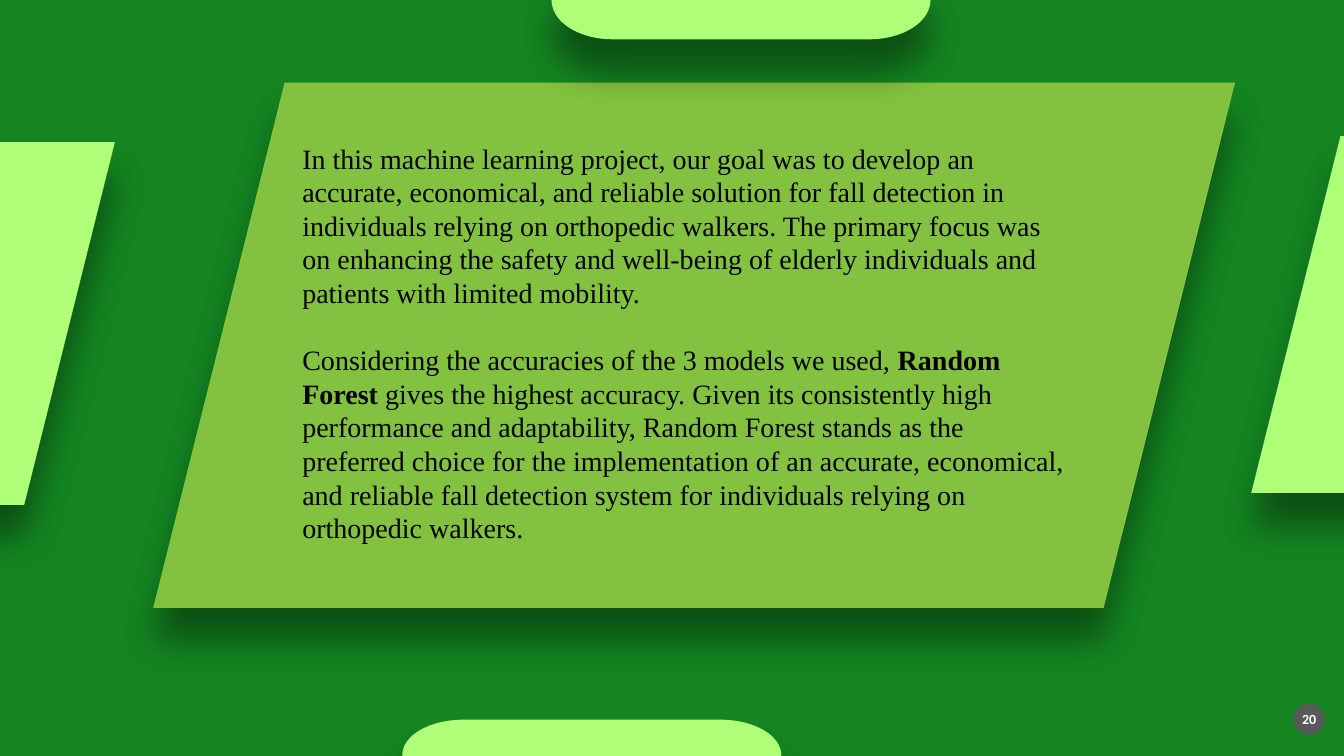
from lxml.etree import SubElement
from pptx import Presentation
from pptx.dml.color import RGBColor as RGB
from pptx.enum.shapes import MSO_SHAPE as SHAPE
from pptx.enum.text import MSO_ANCHOR as ANCHOR, PP_ALIGN as ALIGN
from pptx.oxml.ns import qn
from pptx.util import Inches, Pt

COLORS = {"back": "148521", "panel": "83C240", "accent": "B0FF78",
          "badge": "595959", "text": "000000", "number": "FFFFFF"}
BODY = {"name": "Times New Roman", "size": Pt(20)}
NUMBER = {"name": "Calibri", "size": Pt(10), "bold": True}

GOAL = [("In this machine learning project, our goal was to develop an accurate, "
         "economical, and reliable solution for fall detection in individuals relying "
         "on orthopedic walkers. The primary focus was on enhancing the safety and "
         "well-being of elderly individuals and patients with limited mobility.", False)]
RESULT = [("Considering the accuracies of the 3 models we used, ", False),
          ("Random Forest ", True),
          ("gives the highest accuracy. Given its consistently high performance and "
           "adaptability, Random Forest stands as the preferred choice for the "
           "implementation of an accurate, economical, and reliable fall detection "
           "system for individuals relying on orthopedic walkers.", False)]

# Shapes that run over the slide edges: kind, box, rotation
EDGE_SHAPES = [
    (SHAPE.PARALLELOGRAM, (12.41, 1.35, 4.09, 3.54), 180),
    (SHAPE.PARALLELOGRAM, (-2.62, 1.41, 3.76, 3.6), 0),
    (SHAPE.FLOWCHART_TERMINATOR, (3.99, 7.14, 3.76, 0.7), 0),
    (SHAPE.FLOWCHART_TERMINATOR, (5.47, -0.39, 3.76, 0.78), 0),
]


class Deck:
    """Holds the colours and the current slide."""

    def __init__(self, prs, colors):
        self.colors = colors
        self.slide = prs.slides.add_slide(prs.slide_layouts[6])
        fill = self.slide.background.fill
        fill.solid()
        fill.fore_color.rgb = self.rgb("back")

    def rgb(self, key):
        return RGB.from_string(self.colors[key])

    def shape(self, kind, box, color, rotation=0):
        sp = self.slide.shapes.add_shape(kind, *map(Inches, box))
        sp.shadow.inherit = False
        sp.fill.solid()
        sp.fill.fore_color.rgb = self.rgb(color)
        sp.line.fill.background()
        sp.rotation = rotation
        return sp

    def raised(self, *args):
        """A shape with a soft shadow straight below it."""
        sp = self.shape(*args)
        effects = sp._element.spPr.find(qn("a:effectLst"))
        shadow = SubElement(effects, qn("a:outerShdw"), blurRad=str(Pt(26)),
                            dist=str(Pt(24)), dir="5400000", rotWithShape="0")
        color = SubElement(shadow, qn("a:srgbClr"), val="000000")
        SubElement(color, qn("a:alpha"), val="39000")
        return sp

    def run(self, p, text, style, color):
        r = p.add_run()
        r.text = text
        for name, value in style.items():
            setattr(r.font, name, value)
        r.font.color.rgb = self.rgb(color)

    def text(self, box, paragraphs):
        tf = self.slide.shapes.add_textbox(*map(Inches, box)).text_frame
        tf.word_wrap = True
        for i, runs in enumerate(paragraphs):
            p = tf.add_paragraph() if i else tf.paragraphs[0]
            p.line_spacing = Pt(24)
            p.space_before = Pt(24 if i else 0)
            for text, bold in runs:
                self.run(p, text, {**BODY, "bold": bold}, "text")

    def badge(self, box, number):
        tf = self.shape(SHAPE.OVAL, box, "badge").text_frame
        for side in ("left", "top", "right", "bottom"):
            setattr(tf, f"margin_{side}", 0)
        tf.vertical_anchor = ANCHOR.MIDDLE
        p = tf.paragraphs[0]
        p.alignment = ALIGN.CENTER
        self.run(p, number, NUMBER, "number")


def main():
    prs = Presentation()
    prs.slide_width, prs.slide_height = Inches(13.33), Inches(7.5)
    deck = Deck(prs, COLORS)

    # Slide number
    deck.badge((12.83, 6.98, 0.31, 0.31), "20")

    # Central panel and edge shapes
    deck.raised(SHAPE.PARALLELOGRAM, (1.52, 0.82, 10.73, 5.21), "panel")
    for kind, box, rotation in EDGE_SHAPES:
        deck.raised(kind, box, "accent", rotation)

    # Conclusion
    deck.text((2.9, 1.35, 7.77, 4.48), [GOAL, RESULT])

    prs.save("out.pptx")


if __name__ == "__main__":
    main()
